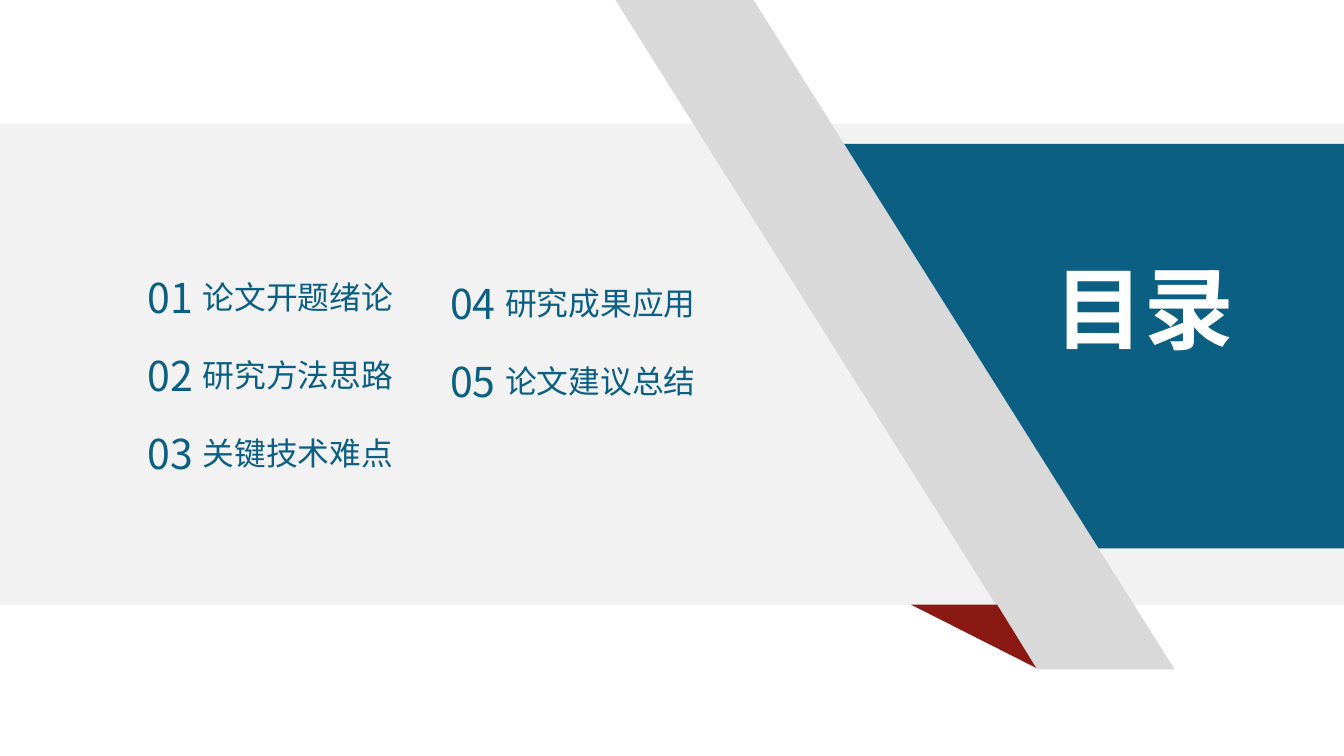
from dataclasses import dataclass

from lxml import etree
from pptx import Presentation
from pptx.dml.color import RGBColor
from pptx.enum.shapes import MSO_SHAPE
from pptx.enum.text import MSO_AUTO_SIZE
from pptx.oxml.ns import qn
from pptx.util import Inches, Pt

RECT = MSO_SHAPE.RECTANGLE
SLANT = MSO_SHAPE.PARALLELOGRAM
GROW = MSO_AUTO_SIZE.SHAPE_TO_FIT_TEXT


@dataclass(frozen=True)
class Theme:
    """Colours, font and type sizes of the slide."""
    blue: str = "0B5F83"
    red: str = "891912"
    pale: str = "F2F2F2"
    grey: str = "D9D9D9"
    white: str = "FFFFFF"
    font: str = "Noto Sans CJK SC"
    title: int = 48
    number: int = 22
    topic: int = 17


THEME = Theme()
WIDTH = 10
HEIGHT = WIDTH * 9 / 16
COLUMNS = [
    (1, 1.98, ["论文开题绪论", "研究方法思路", "关键技术难点"]),
    (3.25, 2.02, ["研究成果应用", "论文建议总结"]),
]
ROW_STEP = 0.58


def paint(shape, color):
    """Give a shape a flat fill with no line or shadow."""
    shape.shadow.inherit = False
    shape.fill.solid()
    shape.fill.fore_color.rgb = RGBColor.from_string(color)
    shape.line.fill.background()
    return shape


def add_block(shapes, kind, box, color):
    """Add a filled preset shape."""
    return paint(shapes.add_shape(kind, *map(Inches, box)), color)


def add_outline(shapes, points, color):
    """Add a filled closed polygon."""
    spots = [(Inches(x), Inches(y)) for x, y in points]
    pen = shapes.build_freeform(*spots[0])
    pen.add_line_segments(spots[1:], close=True)
    return paint(pen.convert_to_shape(), color)


def add_text(shapes, text, box, *, size, color=THEME.blue, bold=False, wrap=True):
    """Add one line of text in a box that grows to fit."""
    frame = shapes.add_textbox(*map(Inches, box)).text_frame
    frame.word_wrap = wrap
    frame.auto_size = GROW
    run = frame.paragraphs[0].add_run()
    run.text = text
    font = run.font
    font.size = Pt(size)
    font.bold = bold
    font.color.rgb = RGBColor.from_string(color)
    font.name = THEME.font
    east = etree.SubElement(run._r.get_or_add_rPr(), qn("a:ea"))
    east.set("typeface", THEME.font)


def add_ribbon(shapes):
    """Add the slanted band and its folded corner."""
    group = shapes.add_group_shape().shapes
    band = add_block(group, SLANT, (4.58, 0, 4.16, 4.98), THEME.grey)
    band.adjustments[0] = 0.753
    band._element.spPr.find(qn("a:xfrm")).set("flipH", "1")
    add_outline(group, [(7.71, 4.97), (7.42, 4.5), (6.78, 4.5)], THEME.red)


def add_entry(shapes, number, topic, left, top):
    """Add a numbered line of the contents list."""
    group = shapes.add_group_shape().shapes
    add_text(group, topic, (left + 0.41, top + 0.04, 2.4, 0.39), size=THEME.topic)
    add_text(group, f"{number:02}", (left, top, 0.62, 0.47), size=THEME.number)


def main():
    """Build and save the contents slide."""
    deck = Presentation()
    deck.slide_width, deck.slide_height = Inches(WIDTH), Inches(HEIGHT)
    shapes = deck.slides.add_slide(deck.slide_layouts[6]).shapes
    add_block(shapes, RECT, (0, 0.92, WIDTH, 3.58), THEME.pale)
    panel = [(5.5, 1.07), (10.02, 1.07), (10.02, 4.08), (7.38, 4.08)]
    add_outline(shapes, panel, THEME.blue)
    add_ribbon(shapes)
    add_text(shapes, "目录", (7.75, 1.83, 1.55, 0.91), size=THEME.title,
             color=THEME.white, bold=True, wrap=False)
    number = 1
    for left, top, topics in COLUMNS:
        for row, topic in enumerate(topics):
            add_entry(shapes, number, topic, left, top + row * ROW_STEP)
            number += 1
    deck.save("out.pptx")


if __name__ == "__main__":
    main()
